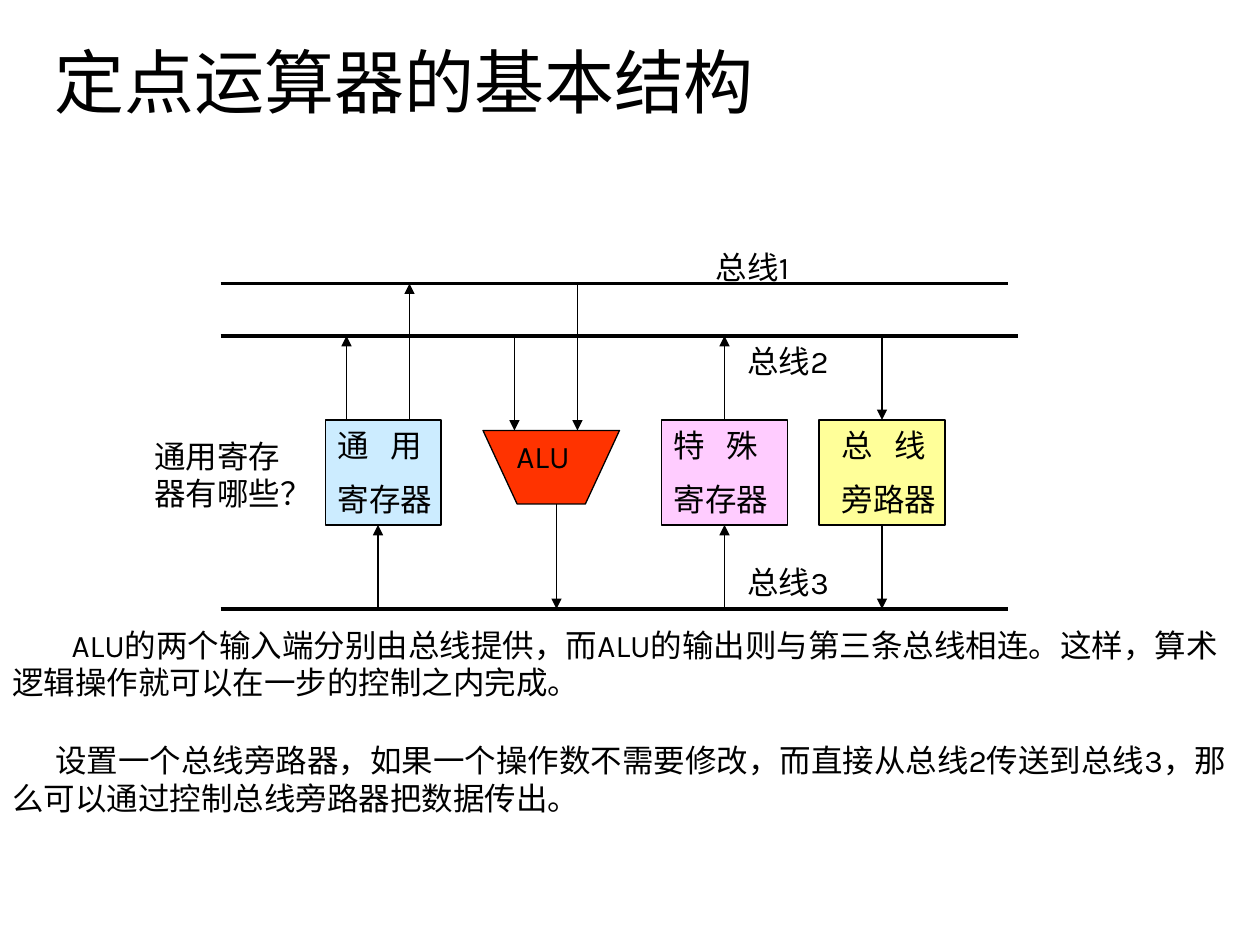
from lxml.etree import SubElement
from pptx import Presentation
from pptx.dml.color import RGBColor
from pptx.enum.shapes import MSO_CONNECTOR, MSO_SHAPE
from pptx.enum.text import MSO_ANCHOR, PP_ALIGN
from pptx.oxml.ns import qn
from pptx.util import Inches, Pt

COLORS = {
    "ink": "000000",
    "general": "CCECFF",
    "alu": "FF3300",
    "special": "FFCCFF",
    "bypass": "FFFF99",
}
BUS_1, BUS_2, BUS_3 = 27, 32, 58
BOX_TOP, BOX_BOTTOM = 40, 50
ALU_TOP, ALU_BOTTOM = 41, 48
TOP, BOTTOM = 0, 2


def grid(count):
    """Turn columns or rows of a twelfth of an inch into a length."""
    return Inches(count / 12)


def color(name):
    return RGBColor.from_string(COLORS[name])


def format_runs(paragraph, size, font):
    for run in paragraph.runs:
        run.font.size = Pt(size)
        run.font.name = font
        run.font.color.rgb = color("ink")


def add_title(slide, text):
    title = slide.shapes.title
    title.left, title.top = grid(4), Inches(0.18)
    title.width, title.height = grid(102), grid(11)
    title.text_frame.text = text
    title.text_frame.vertical_anchor = MSO_ANCHOR.MIDDLE
    paragraph = title.text_frame.paragraphs[0]
    paragraph.alignment = PP_ALIGN.LEFT
    format_runs(paragraph, 40, "Arial")


def add_label(slide, text, left, top, width, height, font="Karla"):
    label = slide.shapes.add_textbox(grid(left), grid(top), grid(width), grid(height))
    frame = label.text_frame
    frame.word_wrap = True
    frame.text = text
    for index, paragraph in enumerate(frame.paragraphs):
        if index:
            paragraph.space_before = Pt(9)
        format_runs(paragraph, 18, font)
    return label


def add_note(slide, text, top, indent):
    """Add a full-width paragraph with a first-line indent in inches."""
    note = add_label(slide, text, 0, top, 120, 10.8)
    properties = note.text_frame.paragraphs[0]._p.get_or_add_pPr()
    properties.set("indent", str(Inches(indent)))


def spread_heading(label):
    """Set the tab stop between the two characters of the first line."""
    properties = label.text_frame.paragraphs[0]._p.get_or_add_pPr()
    tabs = SubElement(properties, qn("a:tabLst"))
    SubElement(tabs, qn("a:tab"), pos=str(Inches(0.42)), algn="l")


def paint(shape, fill):
    shape.shadow.inherit = False
    shape.fill.solid()
    shape.fill.fore_color.rgb = color(fill)
    shape.line.color.rgb = color("ink")
    shape.line.width = Pt(0.75)


def add_unit(slide, text, fill, left, width, text_left):
    unit = slide.shapes.add_shape(MSO_SHAPE.RECTANGLE, grid(left), grid(BOX_TOP),
                                  grid(width), grid(BOX_BOTTOM - BOX_TOP))
    paint(unit, fill)
    spread_heading(add_label(slide, text, text_left, BOX_TOP, 12, 10.2))
    return unit


def add_alu(slide):
    left, right = 46, 59
    inset = (right - left) / 4
    builder = slide.shapes.build_freeform(grid(left), grid(ALU_TOP))
    corners = [(left + inset, ALU_BOTTOM), (right - inset, ALU_BOTTOM), (right, ALU_TOP)]
    builder.add_line_segments([(grid(x), grid(y)) for x, y in corners], close=True)
    paint(builder.convert_to_shape(), "alu")
    add_label(slide, "ALU", 48, ALU_TOP, 15, 6)


def add_line(slide, start, end, width):
    line = slide.shapes.add_connector(MSO_CONNECTOR.STRAIGHT,
                                      *(grid(value) for value in start + end))
    line.line.color.rgb = color("ink")
    line.line.width = Pt(width)
    SubElement(line._element.spPr, qn("a:effectLst"))
    return line


def add_arrow(slide, column, start, end):
    arrow = add_line(slide, (column, start), (column, end), 0.75)
    SubElement(arrow.line._get_or_add_ln(), qn("a:tailEnd"), type="triangle")
    return arrow


def add_buses(slide):
    for row, right in [(BUS_1, 96), (BUS_2, 97), (BUS_3, 96)]:
        add_line(slide, (21, row), (right, row), 2.25)
    for text, left, top in [("总线1", 67, 23), ("总线2", 70, 32), ("总线3", 70, 53)]:
        add_label(slide, text, left, top, 12, 4.8)


def add_arrows(slide, special, bypass):
    for column, start, end in [
        (33, BOX_TOP, BUS_2),
        (39, BOX_TOP, BUS_1),
        (36, BUS_3, BOX_BOTTOM),
        (49, BUS_2, ALU_TOP),
        (55, BUS_1, ALU_TOP),
        (53, ALU_BOTTOM, BUS_3),
    ]:
        add_arrow(slide, column, start, end)
    add_arrow(slide, 69, BOX_TOP, BUS_2).begin_connect(special, TOP)
    add_arrow(slide, 69, BUS_3, BOX_BOTTOM).end_connect(special, BOTTOM)
    add_arrow(slide, 84, BUS_2, BOX_TOP).end_connect(bypass, TOP)
    add_arrow(slide, 84, BOX_BOTTOM, BUS_3).begin_connect(bypass, BOTTOM)


def main():
    presentation = Presentation()
    presentation.slide_width, presentation.slide_height = Inches(10), Inches(7.5)
    slide = presentation.slides.add_slide(presentation.slide_layouts[5])

    add_title(slide, "定点运算器的基本结构")
    add_unit(slide, "通\t用\n寄存器", "general", 31, 11, 31)
    add_alu(slide)
    special = add_unit(slide, "特\t殊\n寄存器", "special", 63, 12, 63)
    bypass = add_unit(slide, "总\t线\n旁路器", "bypass", 78, 12, 79)
    add_buses(slide)
    add_arrows(slide, special, bypass)

    add_note(slide, "ALU的两个输入端分别由总线提供，而ALU的输出则与第三条总线相连。"
                    "这样，算术逻辑操作就可以在一步的控制之内完成。", 59, 0.47)
    add_note(slide, "设置一个总线旁路器，如果一个操作数不需要修改，而直接从总线2传送到总线3，"
                    "那么可以通过控制总线旁路器把数据传出。", 70, 0.34)
    add_label(slide, "通用寄存器有哪些？", 13.5, 41, 16.5, 8.4, font="Arial")

    presentation.save("out.pptx")


if __name__ == "__main__":
    main()
